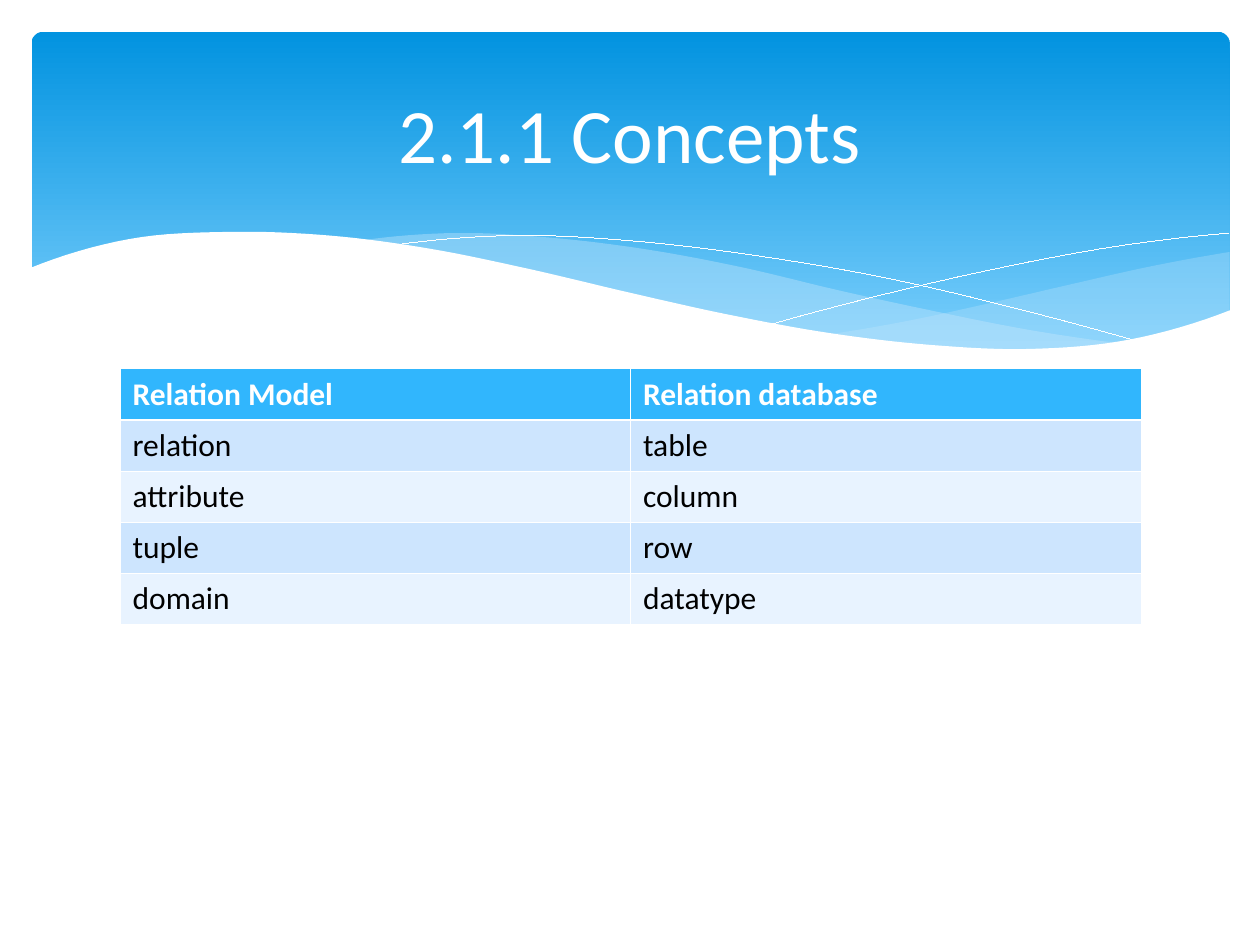
from lxml import etree
from pptx import Presentation
from pptx.dml.color import RGBColor
from pptx.enum.shapes import MSO_SHAPE
from pptx.enum.text import MSO_ANCHOR, PP_ALIGN
from pptx.oxml.ns import qn
from pptx.util import Pt

WHITE = RGBColor(0xFF, 0xFF, 0xFF)
BLACK = RGBColor(0x00, 0x00, 0x00)
BANNER_TOP = RGBColor(0x02, 0x93, 0xE0)
BANNER_BOTTOM = RGBColor(0x83, 0xD3, 0xFE)
WAVE_BLUE = RGBColor(0xC6, 0xE7, 0xFC)
HEADER_BLUE = RGBColor(0x31, 0xB6, 0xFD)
BAND_DARK = RGBColor(0xCD, 0xE5, 0xFE)
BAND_LIGHT = RGBColor(0xE8, 0xF3, 0xFF)

SAMPLES = 8  # short lines drawn between two neighbouring heights of a curve
UNITS_PER_POINT = 100  # freeforms keep whole numbers, so use a fine grid

presentation = Presentation()
presentation.slide_width = Pt(720)
presentation.slide_height = Pt(540)
slide = presentation.slides.add_slide(presentation.slide_layouts[5])


def write_text(frame, text, size, color, bold=False, align=PP_ALIGN.LEFT):
    paragraph = frame.paragraphs[0]
    paragraph.alignment = align
    run = paragraph.add_run()
    run.text = text
    run.font.name = "Calibri"
    run.font.size = Pt(size)
    run.font.bold = bold
    run.font.color.rgb = color


def smooth_curve(left, right, heights):
    """Return points on a Catmull-Rom spline through evenly spaced heights."""
    # Extend both ends along a parabola so that every span has two neighbours
    before = 3 * heights[0] - 3 * heights[1] + heights[2]
    after = 3 * heights[-1] - 3 * heights[-2] + heights[-3]
    knots = [before, *heights, after]
    spans = len(heights) - 1
    points = []
    for step in range(spans * SAMPLES + 1):
        span = min(step // SAMPLES, spans - 1)
        t = step / SAMPLES - span
        a, b, c, d = knots[span:span + 4]
        y = b + t / 2 * (c - a + t * (2 * a - 5 * b + 4 * c - d
                                      + t * (3 * b - a - 3 * c + d)))
        x = left + (right - left) * step / (spans * SAMPLES)
        points.append((x * UNITS_PER_POINT, y * UNITS_PER_POINT))
    return points


# Gradient banner
banner = slide.shapes.add_shape(
    MSO_SHAPE.ROUNDED_RECTANGLE, Pt(18), Pt(18.2), Pt(684.7), Pt(194.4))
banner.adjustments[0] = 0.034
banner.shadow.inherit = False
banner.line.fill.background()
banner.fill.gradient()
banner.fill.gradient_angle = 270
for stop, position, color in zip(
        banner.fill.gradient_stops, (0, 1), (BANNER_TOP, BANNER_BOTTOM)):
    stop.position = position
    stop.color.rgb = color

# Waves, from back to front: left, right, upper edge, lower edge, fill, opacity.
# Edges are heights at equal steps from left to right; no lower edge is a line.
right_wave = (475.9, 702.7,
              [190.8, 182.9, 173, 162.5, 152.3, 144],
              [190.8, 196.7, 199.4, 198.9, 192.2, 177.8], WAVE_BLUE, 29)
middle_wave = (205.9, 643,
               [137.5, 133.2, 135.9, 142.6, 152.9, 165.9, 177.8, 188.6, 196.6],
               [137.5, 146.2, 157.5, 170.4, 182, 191.5, 198.2, 200.9, 196.6],
               WAVE_BLUE, 40)
falling_line = (222.5, 653, [140.4, 134.6, 138.1, 146.9, 159.5, 176.4, 195.8],
                None, None, 100)
rising_line = (441.4, 702, [185, 167.8, 153, 140.9, 133.2], None, None, 100)
white_wave = (16.6, 703.4,
              [153.4, 136.6, 132.5, 134.6, 142.1, 153.8, 167.3,
               180, 190.4, 197.1, 199.4, 193.9, 177.1],
              [236.9] * 3, WHITE, 100)

for left, right, upper, lower, fill, opacity in (
        right_wave, middle_wave, falling_line, rising_line, white_wave):
    outline = smooth_curve(left, right, upper)
    if lower:
        outline += reversed(smooth_curve(left, right, lower))
    builder = slide.shapes.build_freeform(
        *outline[0], scale=Pt(1) / UNITS_PER_POINT)
    builder.add_line_segments(outline[1:], close=bool(lower))
    wave = builder.convert_to_shape()
    wave.shadow.inherit = False
    if lower:
        wave.line.fill.background()
        wave.fill.solid()
        wave.fill.fore_color.rgb = fill
        fill_color = wave._element.spPr.find(qn("a:solidFill"))[0]
        if opacity < 100:
            etree.SubElement(fill_color, qn("a:alpha"), val=str(opacity * 1000))
    else:
        wave.fill.background()
        wave.line.color.rgb = WHITE
        wave.line.width = Pt(0.01)

# Title, brought in front of the banner
title = slide.shapes.title
title.left, title.top, title.width, title.height = Pt(36), Pt(26.6), Pt(648), Pt(98.6)
title.text_frame.vertical_anchor = MSO_ANCHOR.MIDDLE
write_text(title.text_frame, "2.1.1 Concepts", size=44, color=WHITE,
           align=PP_ALIGN.CENTER)
slide.shapes._spTree.append(title._element)

# Table of matching terms
terms = [
    ("Relation Model", "Relation database"),
    ("relation", "table"),
    ("attribute", "column"),
    ("tuple", "row"),
    ("domain", "datatype"),
]
table = slide.shapes.add_table(
    len(terms), 2, Pt(68.6), Pt(210.7), Pt(583.4), Pt(146)).table
table.horz_banding = False
for row_index, row_terms in enumerate(terms):
    is_header = row_index == 0
    band = BAND_DARK if row_index % 2 else BAND_LIGHT
    for column_index, term in enumerate(row_terms):
        cell = table.cell(row_index, column_index)
        write_text(cell.text_frame, term, size=18, bold=is_header,
                   color=WHITE if is_header else BLACK, align=PP_ALIGN.JUSTIFY)

        # Borders go before the fill; the rule under the header is heavier
        properties = cell._tc.get_or_add_tcPr()
        for side in ("lnL", "lnR", "lnT", "lnB"):
            heavy = (row_index, side) in ((0, "lnB"), (1, "lnT"))
            border = etree.SubElement(
                properties, qn(f"a:{side}"), w=str(Pt(1.47 if heavy else 0.45)))
            border_fill = etree.SubElement(border, qn("a:solidFill"))
            etree.SubElement(border_fill, qn("a:srgbClr"), val=str(WHITE))
        cell.fill.solid()
        cell.fill.fore_color.rgb = HEADER_BLUE if is_header else band

presentation.save("out.pptx")
